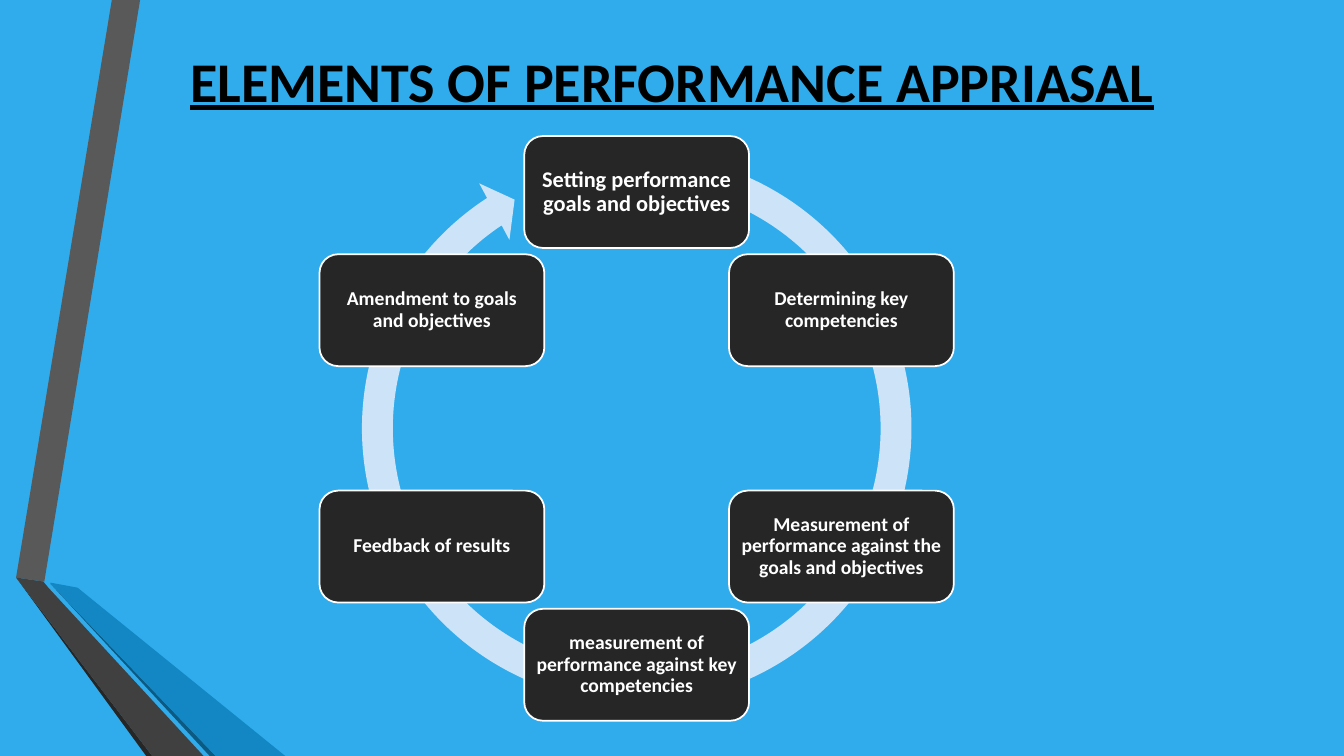
from dataclasses import dataclass
from math import cos, radians, sin

from pptx import Presentation
from pptx.dml.color import RGBColor
from pptx.enum.shapes import MSO_SHAPE as Preset
from pptx.enum.text import MSO_ANCHOR as Anchor, PP_ALIGN as Align
from pptx.shapes.autoshape import Shape
from pptx.slide import Slide
from pptx.text.text import TextFrame
from pptx.util import Inches, Pt

FONT = "Calibri"
BLACK, WHITE, CHARCOAL = "000000", "FFFFFF", "262626"
CYCLE_X, CYCLE_Y, CYCLE_RADIUS = 6.315, 4.25, 2.345
STEP_WIDTH, STEP_HEIGHT = 2.23, 1.11
RING_SIZE = 5.78


@dataclass(frozen=True)
class Facet:
    color: str
    points: tuple[tuple[float, float], ...]


@dataclass(frozen=True)
class Step:
    text: str
    size: int = 14
    inset: float = 0.06


FACETS = (
    Facet("595959", ((1.39, 0), (1.11, 0), (0.16, 5.73), (0.44, 5.77))),
    Facet(CHARCOAL, ((0.16, 5.73), (1.45, 7.5), (1.51, 7.5))),
    Facet("0C5A82", ((0.5, 5.79), (2.08, 7.5), (2.14, 7.5))),
    Facet("1287C3", ((0.5, 5.79), (2.14, 7.5), (2.83, 7.5), (0.77, 5.83), (0.5, 5.78))),
    Facet("404040", ((2.02, 7.5), (0.48, 5.83), (0.43, 5.77), (0.16, 5.73), (1.51, 7.5))),
)

# Clockwise from the top
STEPS = (
    Step("Setting performance goals and objectives", 16, 0.07),
    Step("Determining key competencies"),
    Step("Measurement of performance against the goals and objectives"),
    Step("measurement of performance against key competencies"),
    Step("Feedback of results"),
    Step("Amendment to goals and objectives"),
)


def rgb(color: str) -> RGBColor:
    return RGBColor.from_string(color)


def paint(shape: Shape, color: str) -> None:
    shape.shadow.inherit = False
    shape.fill.solid()
    shape.fill.fore_color.rgb = rgb(color)
    shape.line.fill.background()


def write(frame: TextFrame, text: str, size: int, color: str,
          underline: bool = False, spacing: float = 1.0) -> None:
    frame.word_wrap = True
    frame.vertical_anchor = Anchor.MIDDLE
    paragraph = frame.paragraphs[0]
    paragraph.alignment = Align.CENTER
    paragraph.line_spacing = spacing
    run = paragraph.add_run()
    run.text = text
    run.font.name = FONT
    run.font.size = Pt(size)
    run.font.bold = True
    run.font.underline = underline
    run.font.color.rgb = rgb(color)


def draw_facet(slide: Slide, facet: Facet) -> None:
    start, *rest = [(Inches(x), Inches(y)) for x, y in facet.points]
    outline = slide.shapes.build_freeform(*start)
    outline.add_line_segments(rest, close=True)
    paint(outline.convert_to_shape(), facet.color)


def draw_ring(slide: Slide) -> None:
    ring = slide.shapes.add_shape(
        Preset.CIRCULAR_ARROW, Inches(CYCLE_X - RING_SIZE / 2),
        Inches(CYCLE_Y - RING_SIZE / 2), Inches(RING_SIZE), Inches(RING_SIZE))
    for index, value in enumerate((0.053, 3.126, 142.02, 171.423, 0.055)):
        ring.adjustments[index] = value
    paint(ring, "CDE3F8")


def draw_step(slide: Slide, step: Step, angle: float) -> None:
    left = CYCLE_X + CYCLE_RADIUS * sin(angle) - STEP_WIDTH / 2
    top = CYCLE_Y - CYCLE_RADIUS * cos(angle) - STEP_HEIGHT / 2
    box = slide.shapes.add_shape(
        Preset.ROUNDED_RECTANGLE, Inches(left), Inches(top),
        Inches(STEP_WIDTH), Inches(STEP_HEIGHT))
    paint(box, CHARCOAL)
    box.line.color.rgb = rgb(WHITE)
    box.line.width = Pt(1.25)
    frame = box.text_frame
    frame.margin_left = frame.margin_right = Inches(step.inset)
    frame.margin_top = frame.margin_bottom = Inches(step.inset)
    write(frame, step.text, step.size, WHITE, spacing=0.9)


def main() -> None:
    deck = Presentation()
    deck.slide_width, deck.slide_height = Inches(13.33), Inches(7.5)
    slide = deck.slides.add_slide(deck.slide_layouts[6])
    slide.background.fill.solid()
    slide.background.fill.fore_color.rgb = rgb("30ACEC")

    # Folded ribbon on the left
    for facet in FACETS:
        draw_facet(slide, facet)

    # Title
    title = slide.shapes.add_textbox(Inches(1.28), 0, Inches(10.77), Inches(1.58))
    write(title.text_frame, "ELEMENTS OF PERFORMANCE APPRIASAL", 40, BLACK, underline=True)

    # Cycle of steps
    draw_ring(slide)
    for index, step in enumerate(STEPS):
        draw_step(slide, step, radians(index * 360 / len(STEPS)))

    deck.save("out.pptx")


if __name__ == "__main__":
    main()
